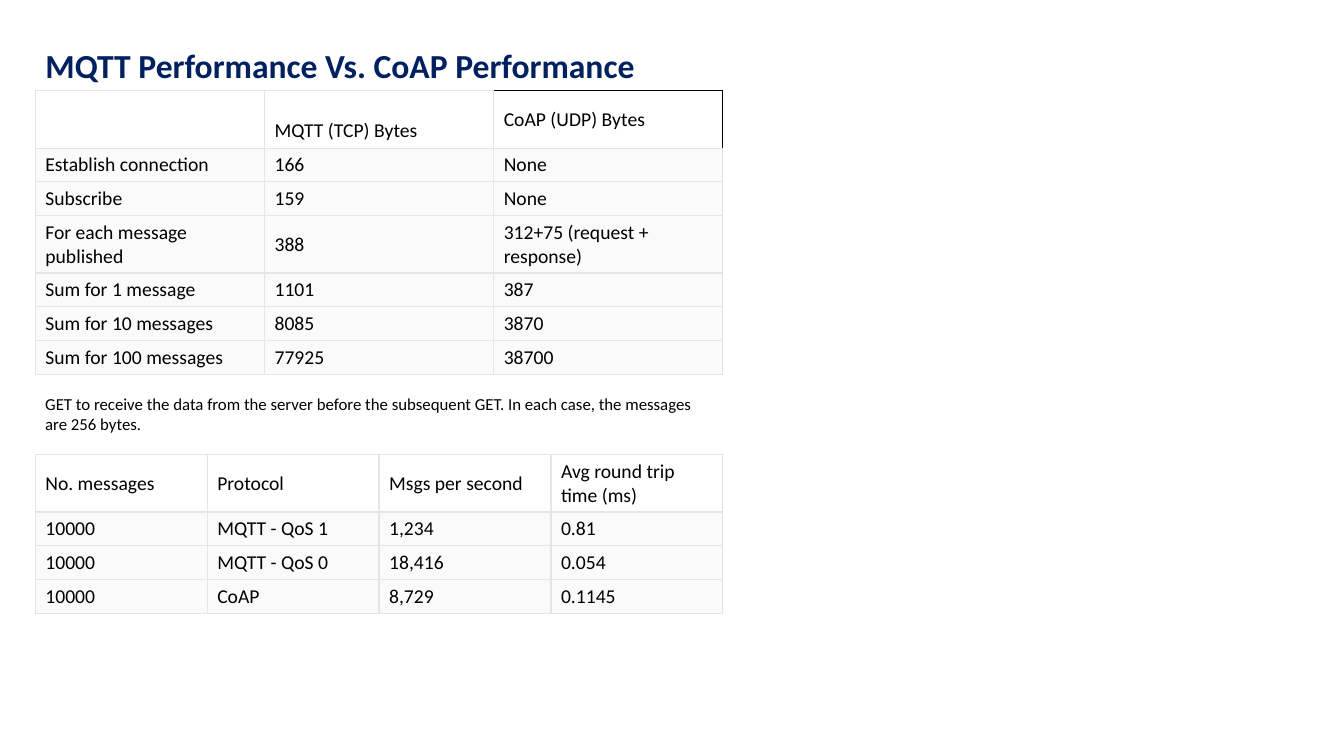
from lxml import etree
from pptx import Presentation
from pptx import util as u
from pptx.dml.color import RGBColor
from pptx.enum import text
from pptx.oxml.ns import qn

COLORS = {"title": "002060", "text": "000000", "header": "FFFFFF",
          "body": "FAFAFA", "border": "E5E5E5", "accent": "000000"}
FONT = "Calibri"
LEFT, TABLE_WIDTH = 0.35, 6.82
LINE_ROW, TWO_LINE_ROW = 0.335, 0.57

presentation = Presentation()
presentation.slide_width, presentation.slide_height = u.Inches(13.33), u.Inches(7.5)
slide = presentation.slides.add_slide(presentation.slide_layouts[5])


def write(frame, words, size, color, bold=False):
    paragraph = frame.paragraphs[0]
    paragraph.alignment = text.PP_ALIGN.LEFT
    run = paragraph.add_run()
    run.text = words
    for name, value in {"name": FONT, "size": u.Pt(size), "bold": bold}.items():
        setattr(run.font, name, value)
    run.font.color.rgb = RGBColor.from_string(COLORS[color])


def set_borders(cell, edges):
    properties = cell._tc.get_or_add_tcPr()
    for index, (side, (color, width)) in enumerate(edges.items()):
        line = etree.Element(qn(f"a:ln{side}"), w=str(u.Pt(width)))
        fill = etree.SubElement(line, qn("a:solidFill"))
        etree.SubElement(fill, qn("a:srgbClr"), val=COLORS[color])
        properties.insert(index, line)


# Title
title = slide.shapes.title
title.left, title.top, title.width, title.height = map(u.Inches, (LEFT, 0.4, 6.1, 0.5))
title.text_frame.word_wrap = False
title.text_frame.auto_size = text.MSO_AUTO_SIZE.SHAPE_TO_FIT_TEXT
title.text_frame.vertical_anchor = text.MSO_ANCHOR.TOP
write(title.text_frame, "MQTT Performance Vs. CoAP Performance", 24, "title", True)

# Tables: top edge, rows with two lines of text, cell values
bytes_rows = [
    ["", "MQTT (TCP) Bytes", "CoAP (UDP) Bytes"],
    ["Establish connection", "166", "None"],
    ["Subscribe", "159", "None"],
    ["For each message published", "388", "312+75 (request + response)"],
    ["Sum for 1 message", "1101", "387"],
    ["Sum for 10 messages", "8085", "3870"],
    ["Sum for 100 messages", "77925", "38700"],
]
speed_rows = [
    ["No. messages", "Protocol", "Msgs per second", "Avg round trip time (ms)"],
    ["10000", "MQTT - QoS 1", "1,234", "0.81"],
    ["10000", "MQTT - QoS 0", "18,416", "0.054"],
    ["10000", "CoAP", "8,729", "0.1145"],
]
tables = []
for top, tall_rows, rows in [(0.9, (0, 3), bytes_rows), (4.51, (0,), speed_rows)]:
    heights = [TWO_LINE_ROW if r in tall_rows else LINE_ROW for r in range(len(rows))]
    table = slide.shapes.add_table(
        len(rows), len(rows[0]), u.Inches(LEFT), u.Inches(top),
        u.Inches(TABLE_WIDTH), u.Inches(sum(heights))).table
    table.first_row = table.horz_banding = False
    tables.append(table)
    for column in table.columns:
        column.width = u.Inches(TABLE_WIDTH / len(rows[0]))
    for r, values in enumerate(rows):
        table.rows[r].height = u.Inches(heights[r])
        for c, value in enumerate(values):
            cell = table.cell(r, c)
            cell.vertical_anchor = text.MSO_ANCHOR.MIDDLE
            cell.fill.solid()
            cell.fill.fore_color.rgb = RGBColor.from_string(COLORS["body" if r else "header"])
            if value:
                write(cell.text_frame, value, 14, "text")
            edges = dict.fromkeys("LRTB", ("border", 1))
            if r == len(rows) - 1:
                edges["B"] = ("border", 0.75)
            if value == "CoAP (UDP) Bytes":
                edges["R"] = edges["T"] = ("accent", 1)
            set_borders(cell, edges)

# The MQTT heading sits on the second line of its row
tables[0].cell(0, 1).margin_top = u.Inches(0.28)

# Note between the tables
note = slide.shapes.add_textbox(*map(u.Inches, (LEFT, 3.86, 6.67, 0.5)))
note.text_frame.word_wrap = True
note.text_frame.auto_size = text.MSO_AUTO_SIZE.SHAPE_TO_FIT_TEXT
write(note.text_frame, "GET to receive the data from the server before the subsequent GET. "
      "In each case, the messages are 256 bytes.", 12, "text")

presentation.save("out.pptx")
